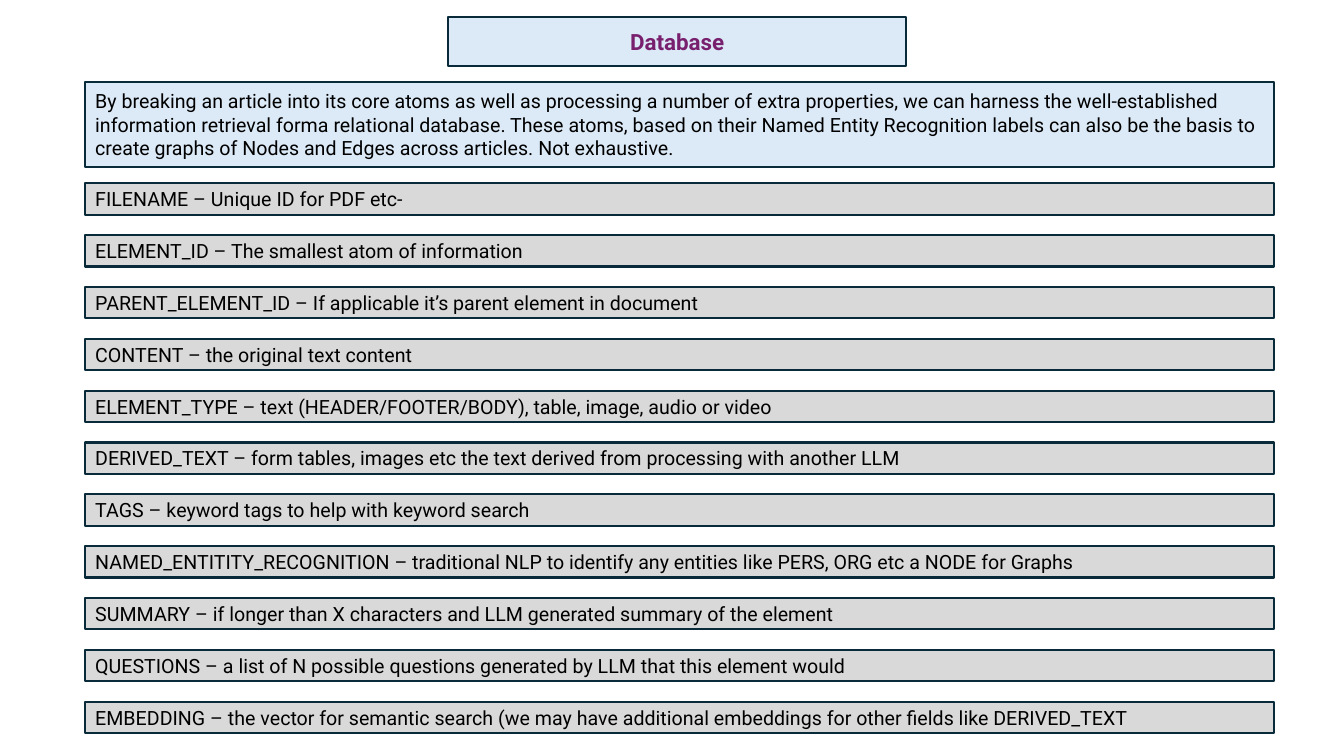
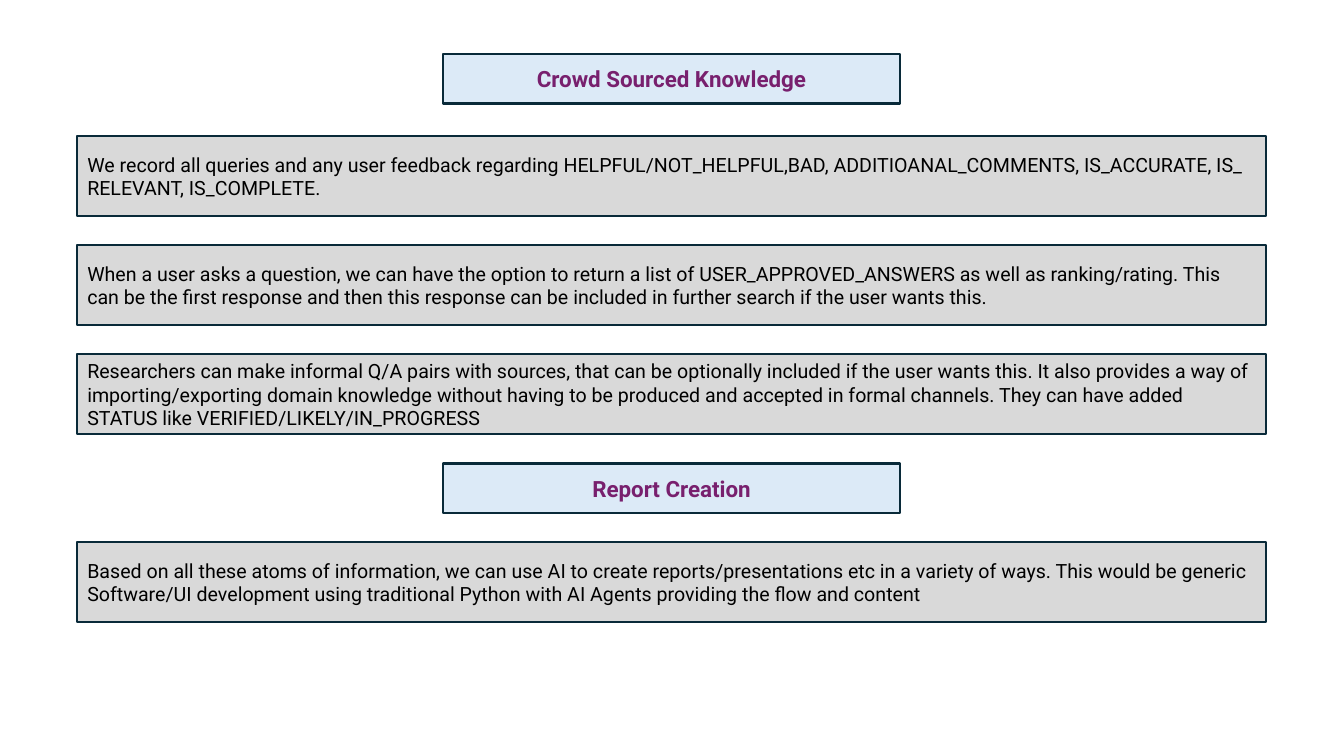
from dataclasses import dataclass

from pptx import Presentation
from pptx.dml.color import RGBColor
from pptx.enum.shapes import MSO_SHAPE
from pptx.enum.text import MSO_ANCHOR, MSO_AUTO_SIZE, PP_ALIGN
from pptx.util import Cm, Pt


@dataclass(frozen=True)
class Theme:
    font: str = "Roboto"
    border: RGBColor = RGBColor(0x09, 0x2A, 0x39)
    blue: RGBColor = RGBColor(0xDC, 0xEA, 0xF7)
    grey: RGBColor = RGBColor(0xD9, 0xD9, 0xD9)
    purple: RGBColor = RGBColor(0x78, 0x20, 0x6E)
    black: RGBColor = RGBColor(0, 0, 0)
    heading_size: Pt = Pt(16)
    body_size: Pt = Pt(14)
    border_width: Pt = Pt(1.5)


HEADING_W, HEADING_H = 11.53, 1.24
BOX_W, BOX_H = 29.95, 2.01
ROW_H = 0.79


class Deck:
    def __init__(self, theme):
        self.theme = theme
        self.prs = Presentation()
        self.prs.slide_width, self.prs.slide_height = Cm(33.87), Cm(19.05)
        self.s = None

    def add_slide(self):
        self.s = self.prs.slides.add_slide(self.prs.slide_layouts[5])

    def title(self, text, left, top):
        self._heading(self.s.shapes.title, text, left, top)

    def heading(self, text, left, top):
        self._heading(self._process(), text, left, top)

    def box(self, text, left, top, height, fill=None):
        sp = self._process()
        self._place(sp, left, top, BOX_W, height, fill or self.theme.grey)
        self._write(sp, text, self.theme.body_size, self.theme.black)

    def save(self):
        self.prs.save("out.pptx")

    def _process(self):
        return self.s.shapes.add_shape(MSO_SHAPE.FLOWCHART_PROCESS, 0, 0, 0, 0)

    def _heading(self, sp, text, left, top):
        self._place(sp, left, top, HEADING_W, HEADING_H, self.theme.blue)
        self._write(sp, text, self.theme.heading_size, self.theme.purple,
                    bold=True, align=PP_ALIGN.CENTER)

    def _place(self, sp, left, top, width, height, fill):
        sp.left, sp.top, sp.width, sp.height = map(Cm, (left, top, width, height))
        sp.shadow.inherit = False
        sp.fill.solid()
        sp.fill.fore_color.rgb = fill
        sp.line.color.rgb = self.theme.border
        sp.line.width = self.theme.border_width

    def _write(self, sp, text, size, color, bold=False, align=PP_ALIGN.LEFT):
        tf = sp.text_frame
        tf.text = text
        tf.word_wrap = True
        tf.auto_size = MSO_AUTO_SIZE.NONE
        tf.vertical_anchor = MSO_ANCHOR.MIDDLE
        p = tf.paragraphs[0]
        p.alignment = align
        for r in p.runs:
            r.font.name = self.theme.font
            r.font.size = size
            r.font.bold = bold
            r.font.color.rgb = color


INTRO = (
    "By breaking an article into its core atoms as well as processing a number of extra "
    "properties, we can harness the well-established information retrieval forma relational "
    "database. These atoms, based on their Named Entity Recognition labels can also be the "
    "basis to create graphs of Nodes and Edges across articles. Not exhaustive."
)

FIELDS = [
    "FILENAME – Unique ID for PDF etc-",
    "ELEMENT_ID – The smallest atom of information",
    "PARENT_ELEMENT_ID – If applicable it’s parent element in document",
    "CONTENT – the original text content",
    "ELEMENT_TYPE – text (HEADER/FOOTER/BODY), table, image, audio or video",
    "DERIVED_TEXT – form tables, images etc the text derived from processing with another LLM",
    "TAGS – keyword tags to help with keyword search",
    "NAMED_ENTITITY_RECOGNITION – traditional NLP to identify any entities like PERS, ORG etc "
    "a NODE for Graphs",
    "SUMMARY – if longer than X characters and LLM generated summary of the element",
    "QUESTIONS – a list of N possible questions generated by LLM that this element would",
    "EMBEDDING – the vector for semantic search (we may have additional embeddings for other "
    "fields like DERIVED_TEXT",
]

CROWD = [
    "We record all queries and any user feedback regarding HELPFUL/NOT_HELPFUL,BAD, "
    "ADDITIOANAL_COMMENTS, IS_ACCURATE, IS_ RELEVANT, IS_COMPLETE.",
    "When a user asks a question, we can have the option to return a list of "
    "USER_APPROVED_ANSWERS as well as ranking/rating. This can be the first response and then "
    "this response can be included in further search if the user wants this.",
    "Researchers can make informal Q/A pairs with sources, that can be optionally included if "
    "the user wants this. It also provides a way of importing/exporting domain knowledge "
    "without having to be produced and accepted in formal channels. They can have added "
    "STATUS like VERIFIED/LIKELY/IN_PROGRESS",
]

REPORT = (
    "Based on all these atoms of information, we can use AI to create reports/presentations "
    "etc in a variety of ways. This would be generic Software/UI development using "
    "traditional Python with AI Agents providing the flow and content"
)


def database_slide(deck):
    left, first, last = 2.15, 4.62, 17.68
    pitch = (last - first) / (len(FIELDS) - 1)
    deck.add_slide()
    deck.title("Database", 11.3, 0.43)
    deck.box(INTRO, left, 2.06, 2.16, deck.theme.blue)
    for i, field in enumerate(FIELDS):
        deck.box(field, left, first + i * pitch, ROW_H)


def knowledge_slide(deck):
    left, top, gap = 1.95, 3.43, 0.74
    heading_left = left + (BOX_W - HEADING_W) / 2
    deck.add_slide()
    deck.title("Crowd Sourced Knowledge", heading_left, 1.37)
    for text in CROWD:
        deck.box(text, left, top, BOX_H)
        top += BOX_H + gap
    deck.heading("Report Creation", heading_left, top)
    deck.box(REPORT, left, top + HEADING_H + gap, BOX_H)


def main():
    deck = Deck(Theme())
    database_slide(deck)
    knowledge_slide(deck)
    deck.save()


if __name__ == "__main__":
    main()
